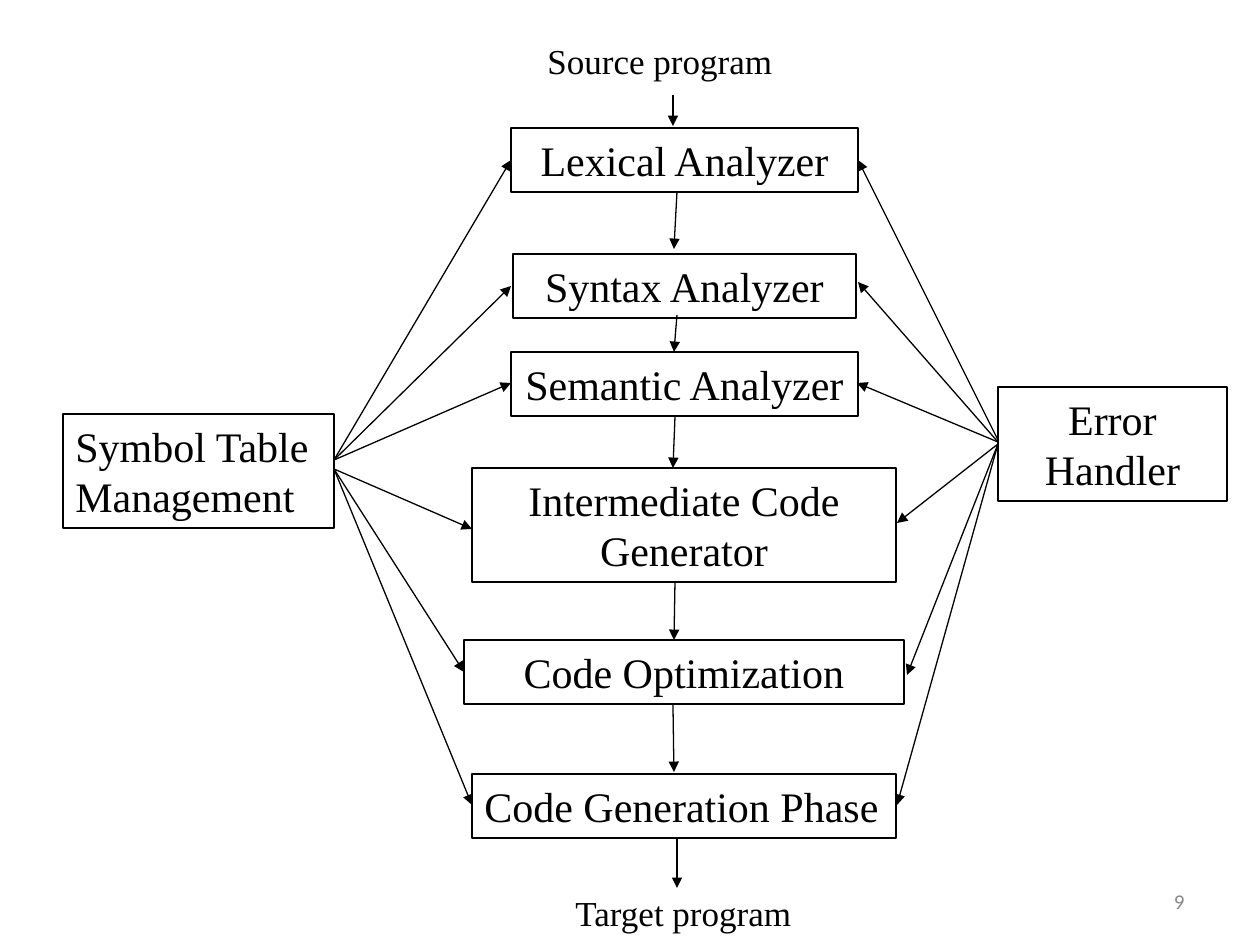
from collections import namedtuple
from dataclasses import dataclass

from lxml import etree
from pptx import Presentation
from pptx.dml.color import RGBColor
from pptx.enum.shapes import MSO_CONNECTOR, MSO_SHAPE
from pptx.enum.text import MSO_ANCHOR, MSO_AUTO_SIZE, PP_ALIGN
from pptx.oxml.ns import qn
from pptx.util import Pt

RECTANGLE = MSO_SHAPE.RECTANGLE
STRAIGHT = MSO_CONNECTOR.STRAIGHT
TOP, MIDDLE = MSO_ANCHOR.TOP, MSO_ANCHOR.MIDDLE
LEFT, CENTER, RIGHT = PP_ALIGN.LEFT, PP_ALIGN.CENTER, PP_ALIGN.RIGHT
GROW, FIXED = MSO_AUTO_SIZE.SHAPE_TO_FIT_TEXT, MSO_AUTO_SIZE.NONE

Box = namedtuple("Box", "x y w h")


@dataclass(frozen=True)
class Theme:
    """Colours, fonts and type sizes of the slide."""
    ink: RGBColor = RGBColor(0, 0, 0)
    muted: RGBColor = RGBColor(0x88, 0x88, 0x88)
    body_font: str = "Times New Roman"
    number_font: str = "Calibri"
    box_size: int = 24
    caption_size: int = 20
    number_size: int = 12
    line_width: float = 0.75


THEME = Theme()


def px(pixels):
    """Turn picture pixels (126 to the inch) into EMU."""
    return round(pixels * 914400 / 126)


def inside(box, x, y, w, h):
    """Place a part given relative to its region."""
    return Box(box.x + x, box.y + y, w, h)


def write(frame, lines, size, align=LEFT, wrap=True, font=THEME.body_font,
          color=THEME.ink):
    """Fill a text frame with one paragraph per line."""
    frame.word_wrap = wrap
    for index, line in enumerate(lines):
        paragraph = frame.add_paragraph() if index else frame.paragraphs[0]
        paragraph.alignment = align
        run = paragraph.add_run()
        run.text = line
        run.font.size = Pt(size)
        run.font.name = font
        run.font.color.rgb = color


def add_box(slide, box, lines, align=CENTER, wrap=True):
    """Draw an outlined box with its label."""
    shape = slide.shapes.add_shape(RECTANGLE, *map(px, box))
    shape.shadow.inherit = False
    shape.fill.background()
    shape.line.color.rgb = THEME.ink
    shape.line.width = Pt(THEME.line_width)
    shape.text_frame.vertical_anchor = TOP
    write(shape.text_frame, lines, THEME.box_size, align, wrap)
    shape.text_frame.auto_size = GROW


def add_caption(slide, box, caption):
    """Write an unframed caption."""
    frame = slide.shapes.add_textbox(*map(px, box)).text_frame
    write(frame, [caption], THEME.caption_size, wrap=False)
    frame.auto_size = GROW


def add_arrow(slide, region, start, end):
    """Draw an arrow between two points relative to a region."""
    ends = [px(value) for x, y in (start, end)
            for value in (region.x + x, region.y + y)]
    arrow = slide.shapes.add_connector(STRAIGHT, *ends)
    arrow.line.color.rgb = THEME.ink
    arrow.line.width = Pt(THEME.line_width)
    etree.SubElement(arrow.line._get_or_add_ln(), qn("a:tailEnd"), type="triangle")
    etree.SubElement(arrow._element.spPr, qn("a:effectLst"))


def build_pipeline(slide, region):
    """Stack the compiler phases, centred in the region, with flow arrows."""
    phases = [
        ("Lexical Analyzer", 95, 347, 64, CENTER, True),
        ("Syntax Analyzer", 221, 343, 64, CENTER, True),
        ("Semantic Analyzer", 319, 347, 64, CENTER, False),
        ("Intermediate Code Generator", 435, 424, 114, CENTER, True),
        ("Code Optimization", 607, 440, 64, CENTER, True),
        ("Code Generation Phase", 741, 424, 64, LEFT, False),
    ]
    flow = [
        ((209, 62), (209, 93)),
        ((213, 159), (210, 216)),
        ((213, 282), (210, 319)),
        ((211, 384), (209, 435)),
        ((211, 549), (210, 607)),
        ((209, 671), (210, 739)),
        ((213, 804), (213, 855)),
    ]
    add_caption(slide, inside(region, 71, 0, 252, 55), "Source program")
    for label, top, width, height, align, wrap in phases:
        left = (region.w - width) // 2
        add_box(slide, inside(region, left, top, width, height), [label], align, wrap)
    for start, end in flow:
        add_arrow(slide, region, start, end)
    add_caption(slide, inside(region, 99, 852, 243, 55), "Target program")


def build_symbol_table(slide, region):
    """Draw the symbol table box and its arrows to every phase."""
    add_box(slide, region, ["Symbol Table", "Management"], LEFT, False)
    upper, lower = (region.w, 46), (region.w, 55)
    for tip in [(448, -254), (448, -128), (448, -31)]:
        add_arrow(slide, region, upper, tip)
    for tip in [(409, 115), (401, 258), (409, 391)]:
        add_arrow(slide, region, lower, tip)


def build_error_handler(slide, region):
    """Draw the error handler box and its arrows to every phase."""
    add_box(slide, region, ["Error Handler"])
    spokes = [(53, -140, -227), (55, -140, -105), (55, -141, -4),
              (57, -101, 136), (57, -91, 288), (57, -101, 418)]
    for start_y, tip_x, tip_y in spokes:
        add_arrow(slide, region, (0, start_y), (tip_x, tip_y))


def build_page_number(slide, region, number):
    """Write the page number at the right of its region."""
    frame = slide.shapes.add_textbox(*map(px, region)).text_frame
    frame.vertical_anchor = MIDDLE
    write(frame, [number], THEME.number_size, RIGHT,
          font=THEME.number_font, color=THEME.muted)
    frame.auto_size = FIXED


def build_slide(presentation, page):
    """Lay out the compiler phases slide."""
    slide = presentation.slides.add_slide(presentation.slide_layouts[6])
    build_pipeline(slide, inside(page, 464, 33, 441, 907))
    build_symbol_table(slide, inside(page, 63, 414, 271, 114))
    build_error_handler(slide, inside(page, 998, 387, 229, 114))
    build_page_number(slide, inside(page, 903, 876, 294, 50), "9")


page = Box(0, 0, 1260, 945)
presentation = Presentation()
presentation.slide_width, presentation.slide_height = px(page.w), px(page.h)
build_slide(presentation, page)
presentation.save("out.pptx")
